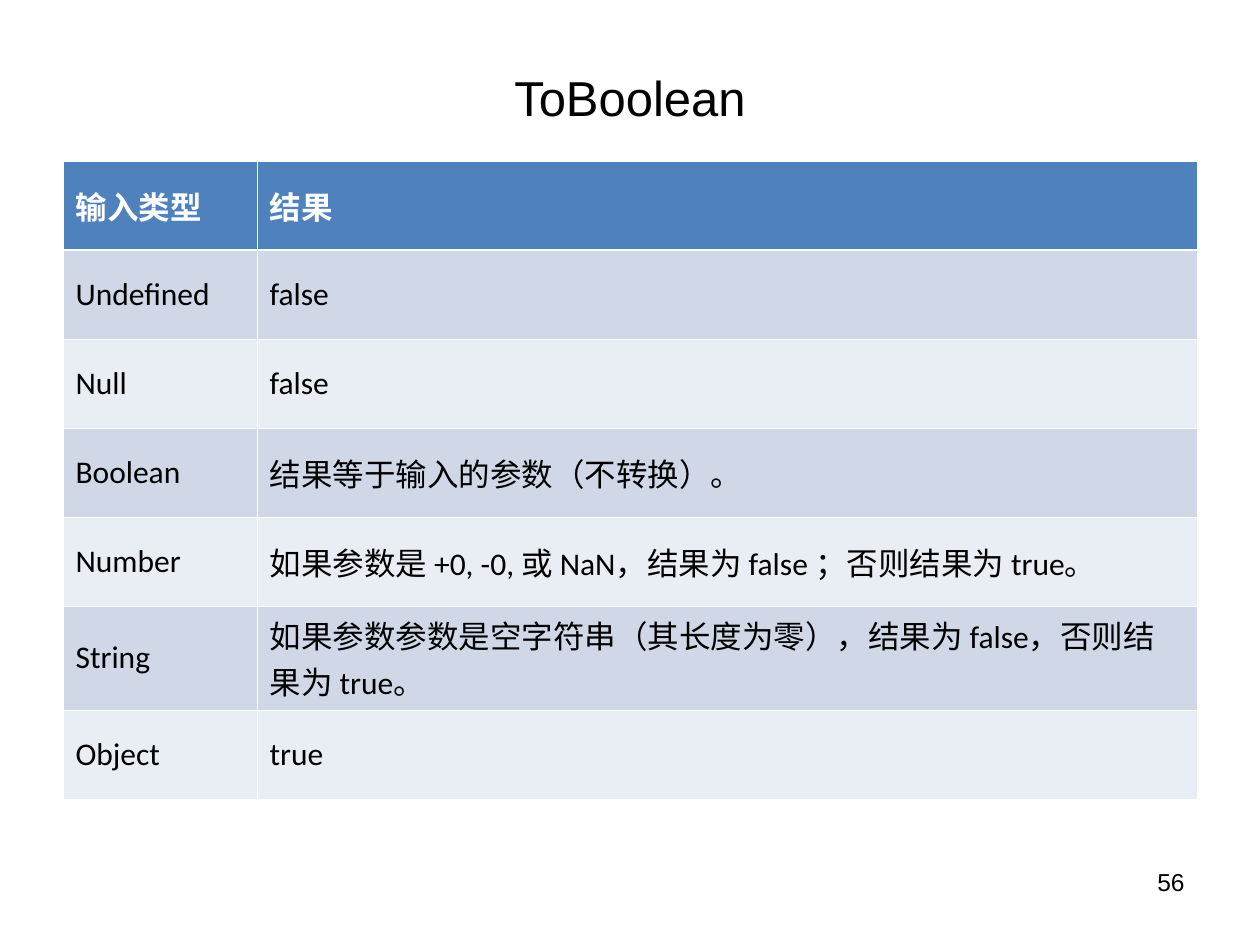
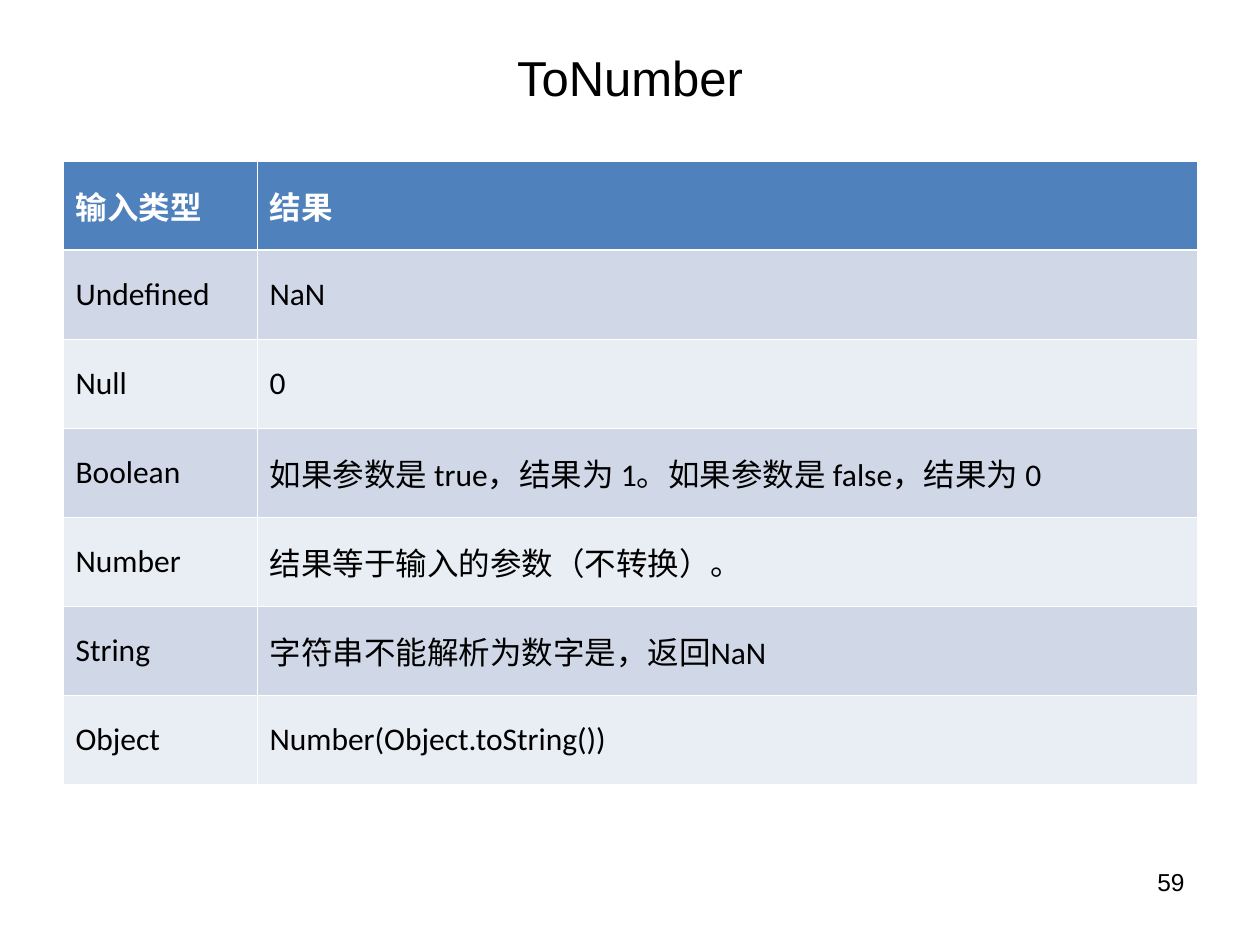
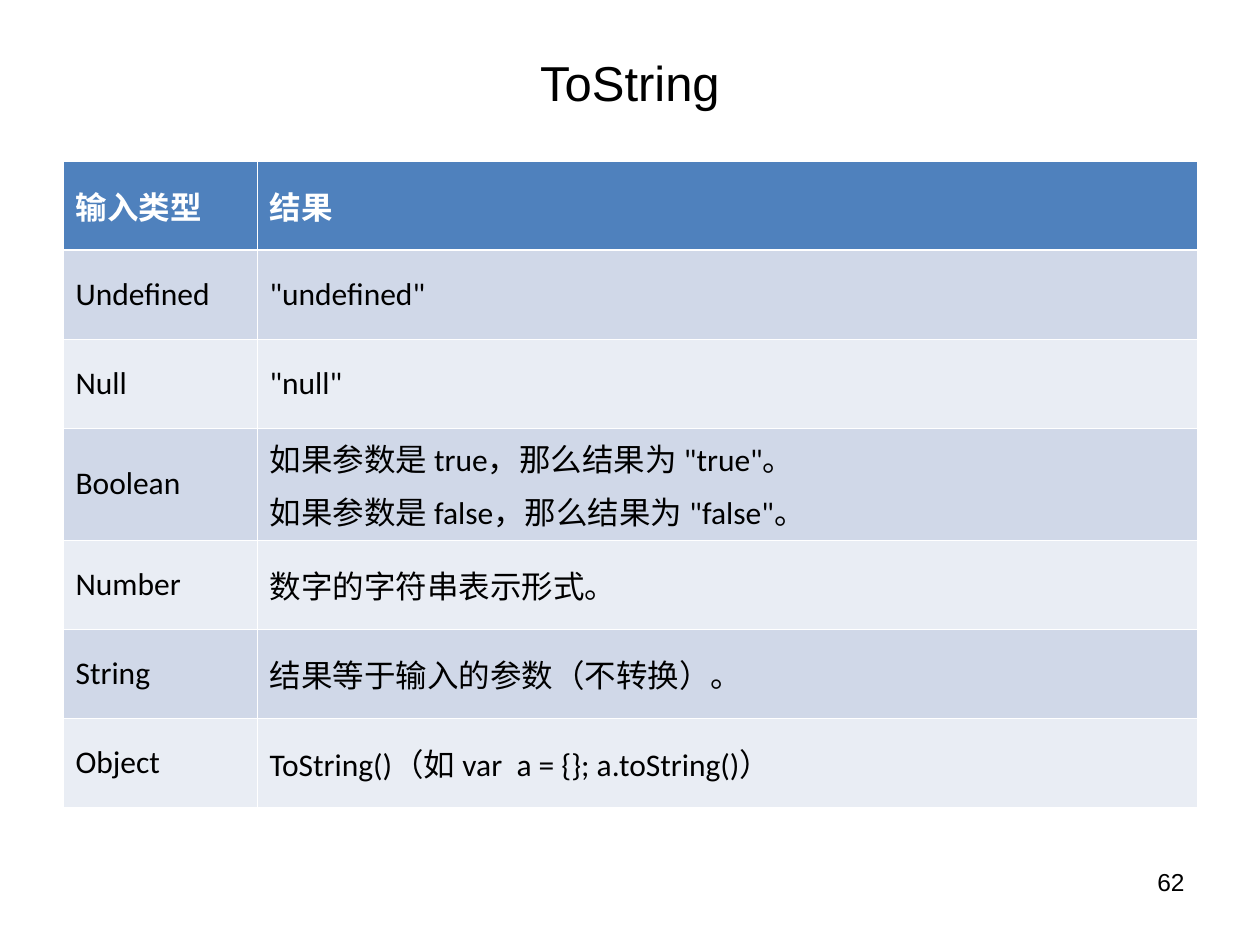
from lxml.etree import SubElement
from pptx import Presentation
from pptx.dml.color import RGBColor
from pptx.enum.text import MSO_ANCHOR, PP_ALIGN
from pptx.oxml.ns import qn
from pptx.util import Emu, Pt

SCALE = 914400 / 126
COLORS = {
    "text": "000000",
    "header": "4F81BD",
    "header_text": "FFFFFF",
    "odd_row": "D0D8E8",
    "even_row": "E9EDF4",
    "border": "FFFFFF",
}
LEFT, WIDTH = 63, 1134
TITLE_TOP, TABLE_TOP = 38, 161
COLUMN_WIDTHS = (194, 940)
ROW_HEIGHT = 89
THIN, THICK = 0.45, 1.47

INPUT_TYPES = ["Undefined", "Null", "Boolean", "Number", "String", "Object"]
UNCHANGED = "结果等于输入的参数（不转换）。"

# Title, title height, page number, heights of two-line rows, result for each input type
CONVERSIONS = [
    ("ToBoolean", 117, "56", {"String": 104}, [
        "false",
        "false",
        UNCHANGED,
        "如果参数是 +0, -0, 或 NaN，结果为 false ；否则结果为 true。",
        "如果参数参数是空字符串（其长度为零），结果为 false，否则结果为 true。",
        "true",
    ]),
    ("ToNumber", 77, "59", {}, [
        "NaN",
        "0",
        "如果参数是 true，结果为 1。如果参数是 false，结果为 0",
        UNCHANGED,
        "字符串不能解析为数字是，返回NaN",
        "Number(Object.toString())",
    ]),
    ("ToString", 87, "62", {"Boolean": 112}, [
        '"undefined"',
        '"null"',
        '如果参数是 true，那么结果为 "true"。\n如果参数是 false，那么结果为 "false"。',
        "数字的字符串表示形式。",
        UNCHANGED,
        "ToString()（如 var  a = {}; a.toString()）",
    ]),
]


def px(length):
    return Emu(round(length * SCALE))


def write(frame, text, size, font, color, align=PP_ALIGN.LEFT, bold=False):
    frame.word_wrap = True
    frame.text = text
    for index, para in enumerate(frame.paragraphs):
        para.alignment = align
        if index:
            para.space_before = Pt(4.5)
        for span in para.runs:
            span.font.size = Pt(size)
            span.font.name = font
            span.font.bold = bold
            span.font.color.rgb = RGBColor.from_string(COLORS[color])


deck = Presentation()
deck.slide_width, deck.slide_height = px(1260), px(945)

for title, title_height, number, tall_rows, results in CONVERSIONS:
    page = deck.slides.add_slide(deck.slide_layouts[6])

    # Page number
    number_box = page.shapes.add_textbox(px(903), px(861), px(294), px(66))
    write(number_box.text_frame, number, 14, "Arial", "text", PP_ALIGN.RIGHT)

    # Title
    title_box = page.shapes.add_textbox(px(LEFT), px(TITLE_TOP), px(WIDTH), px(title_height))
    title_box.text_frame.vertical_anchor = MSO_ANCHOR.MIDDLE
    write(title_box.text_frame, title, 28, "Arial", "text", PP_ALIGN.CENTER)

    # Conversion table
    rows = [("输入类型", "结果"), *zip(INPUT_TYPES, results)]
    heights = [tall_rows.get(input_type, ROW_HEIGHT) for input_type, _ in rows]
    table = page.shapes.add_table(
        len(rows), len(COLUMN_WIDTHS), px(LEFT), px(TABLE_TOP), px(WIDTH), px(sum(heights))
    ).table
    table.horz_banding = False
    for column, width in zip(table.columns, COLUMN_WIDTHS):
        column.width = px(width)

    for row_index, texts in enumerate(rows):
        table.rows[row_index].height = px(heights[row_index])
        is_header = row_index == 0
        if is_header:
            fill = "header"
        else:
            fill = "odd_row" if row_index % 2 else "even_row"
        borders = {
            "a:lnL": THIN,
            "a:lnR": THIN,
            "a:lnT": THICK if row_index == 1 else THIN,
            "a:lnB": THICK if is_header else THIN,
        }
        for column_index, text in enumerate(texts):
            cell = table.cell(row_index, column_index)
            cell.vertical_anchor = MSO_ANCHOR.MIDDLE
            write(cell.text_frame, text, 18, "Calibri",
                  "header_text" if is_header else "text", bold=is_header)

            # Borders come before the fill in the cell properties
            properties = cell._tc.get_or_add_tcPr()
            for side, points in borders.items():
                line = SubElement(properties, qn(side), w=str(Pt(points)))
                solid = SubElement(line, qn("a:solidFill"))
                SubElement(solid, qn("a:srgbClr"), val=COLORS["border"])
            cell.fill.solid()
            cell.fill.fore_color.rgb = RGBColor.from_string(COLORS[fill])

deck.save("out.pptx")
